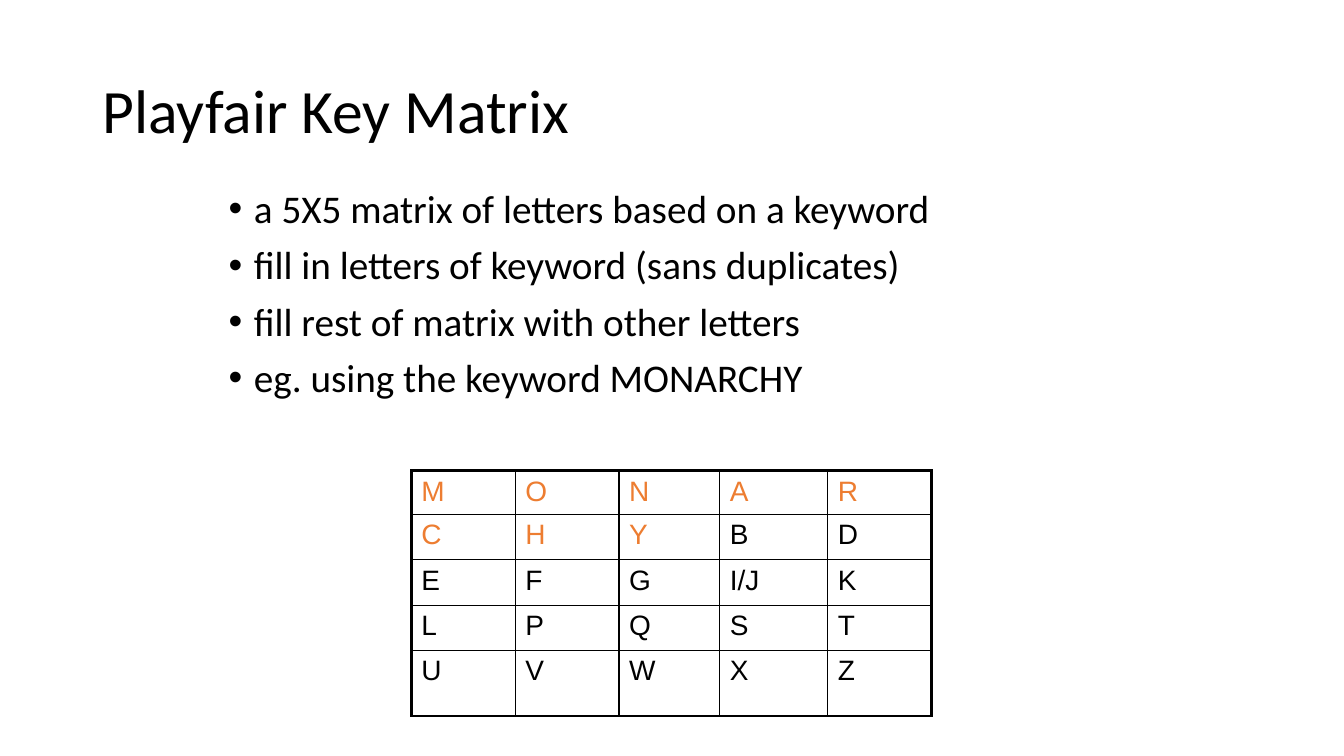
import lxml.etree
import pptx
import pptx.dml.color
import pptx.enum.text
import pptx.oxml.ns
import pptx.util

Inches = pptx.util.Inches
BLACK = pptx.dml.color.RGBColor(0x00, 0x00, 0x00)
ORANGE = pptx.dml.color.RGBColor(0xED, 0x7D, 0x31)

KEYWORD = "MONARCHY"
KEY_MATRIX = [
    ["M", "O", "N", "A", "R"],
    ["C", "H", "Y", "B", "D"],
    ["E", "F", "G", "I/J", "K"],
    ["L", "P", "Q", "S", "T"],
    ["U", "V", "W", "X", "Z"],
]
COLUMN_WIDTHS = [1.03, 1.03, 1, 1.07, 1.03]
ROW_HEIGHTS = [0.41, 0.45, 0.45, 0.45, 0.65]
STEPS = [
    "a 5X5 matrix of letters based on a keyword",
    "fill in letters of keyword (sans duplicates)",
    "fill rest of matrix with other letters",
    f"eg. using the keyword {KEYWORD}",
]


def add_element(parent, tag, **attributes):
    """Append a DrawingML element and return it."""
    element = lxml.etree.SubElement(parent, pptx.oxml.ns.qn(tag))
    for key, value in attributes.items():
        element.set(key, str(value))
    return element


def write_text(paragraph, text, size, font="Calibri", color=BLACK,
               bullet=False, line_spacing=None, space_before=0):
    """Fill a paragraph with formatted text."""
    if bullet:
        indent = Inches(0.25)
        properties = paragraph._p.get_or_add_pPr()
        properties.set("marL", str(indent))
        properties.set("indent", str(-indent))
        add_element(properties, "a:buFont", typeface="Arial")
        add_element(properties, "a:buChar", char="•")
    paragraph.line_spacing = line_spacing
    paragraph.space_before = pptx.util.Pt(space_before)
    run = paragraph.add_run()
    run.text = text
    run.font.size = pptx.util.Pt(size)
    run.font.name = font
    run.font.color.rgb = color


def add_text_box(slide, left, top, width, height, lines, anchor, **text_format):
    """Add a wrapped text box with one paragraph per line."""
    box = slide.shapes.add_textbox(
        Inches(left), Inches(top), Inches(width), Inches(height))
    frame = box.text_frame
    frame.word_wrap = True
    frame.vertical_anchor = anchor
    for index, line in enumerate(lines):
        paragraph = frame.add_paragraph() if index else frame.paragraphs[0]
        write_text(paragraph, line, line_spacing=0.9,
                   space_before=10 if index else 0, **text_format)


def add_border(cell, side, width):
    """Draw a solid black border on one side of a cell."""
    line = add_element(cell._tc.get_or_add_tcPr(), f"a:ln{side}",
                       w=pptx.util.Pt(width))
    add_element(add_element(line, "a:solidFill"), "a:srgbClr", val=BLACK)


def add_key_matrix(slide, left, top):
    """Add the letter grid with the keyword letters highlighted."""
    size = len(KEY_MATRIX)
    last = size - 1
    matrix = slide.shapes.add_table(
        size, size, Inches(left), Inches(top),
        Inches(sum(COLUMN_WIDTHS)), Inches(sum(ROW_HEIGHTS))).table
    matrix.first_row = False
    matrix.horz_banding = False
    for column, width in zip(matrix.columns, COLUMN_WIDTHS):
        column.width = Inches(width)
    for row, height in zip(matrix.rows, ROW_HEIGHTS):
        row.height = Inches(height)
    for row, letters in enumerate(KEY_MATRIX):
        for column, letter in enumerate(letters):
            cell = matrix.cell(row, column)
            outer_sides = {"L": column == 0, "R": column == last,
                           "T": row == 0, "B": row == last}
            for side, is_outer in outer_sides.items():
                add_border(cell, side, 2.25 if is_outer else 1)
            cell.fill.background()
            write_text(cell.text_frame.paragraphs[0], letter, 20, font="Arial",
                       color=ORANGE if letter in KEYWORD else BLACK)


def main():
    """Build and save the slide."""
    presentation = pptx.Presentation()
    presentation.slide_width = Inches(13.33)
    presentation.slide_height = Inches(7.5)
    slide = presentation.slides.add_slide(presentation.slide_layouts[6])
    anchors = pptx.enum.text.MSO_ANCHOR
    add_text_box(slide, 0.92, 0.4, 11.5, 1.45, ["Playfair Key Matrix"],
                 anchors.MIDDLE, size=44)
    add_text_box(slide, 2.17, 1.83, 9, 2.92, STEPS,
                 anchors.TOP, size=28, bullet=True)
    add_key_matrix(slide, 4.08, 4.67)
    presentation.save("out.pptx")


if __name__ == "__main__":
    main()
